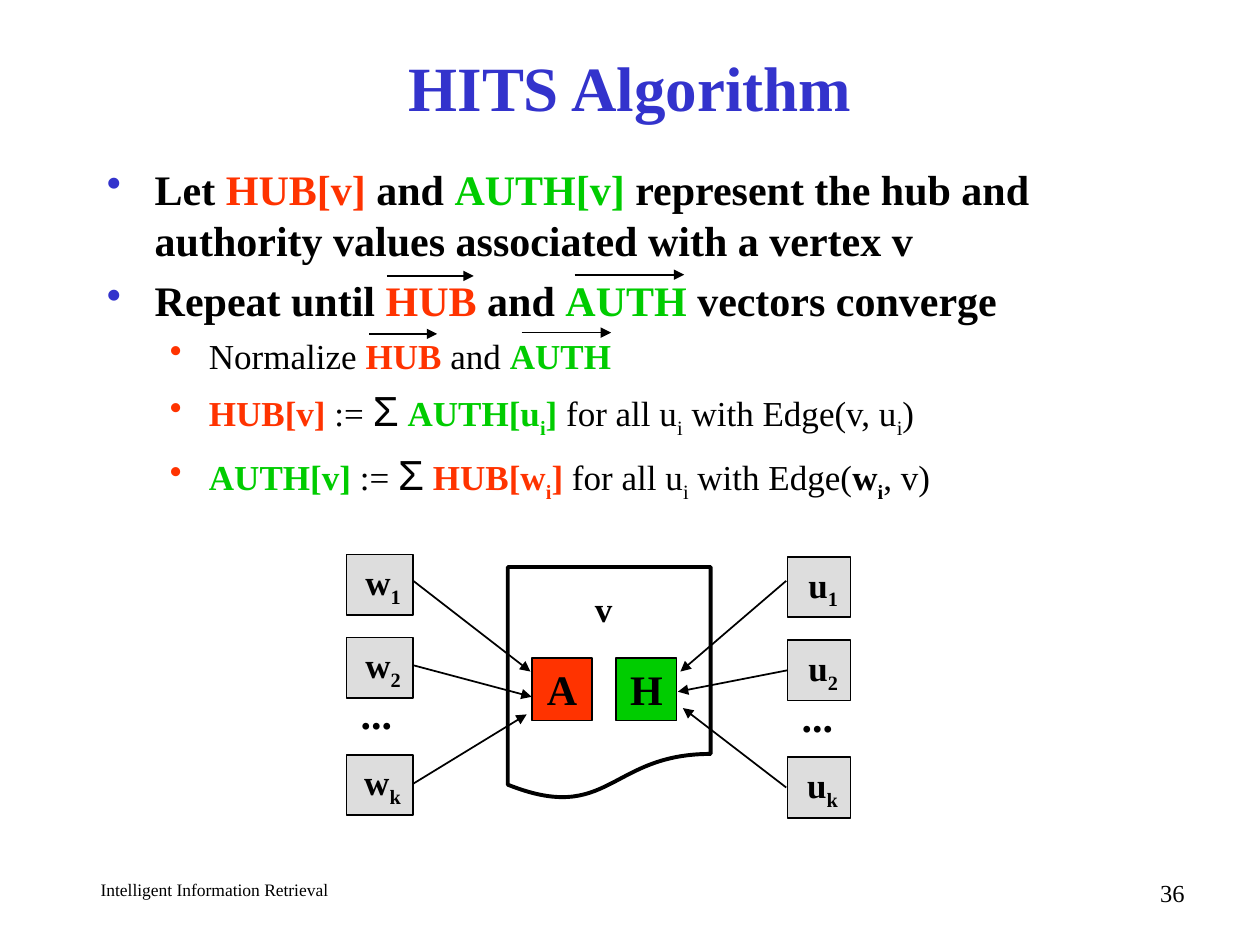
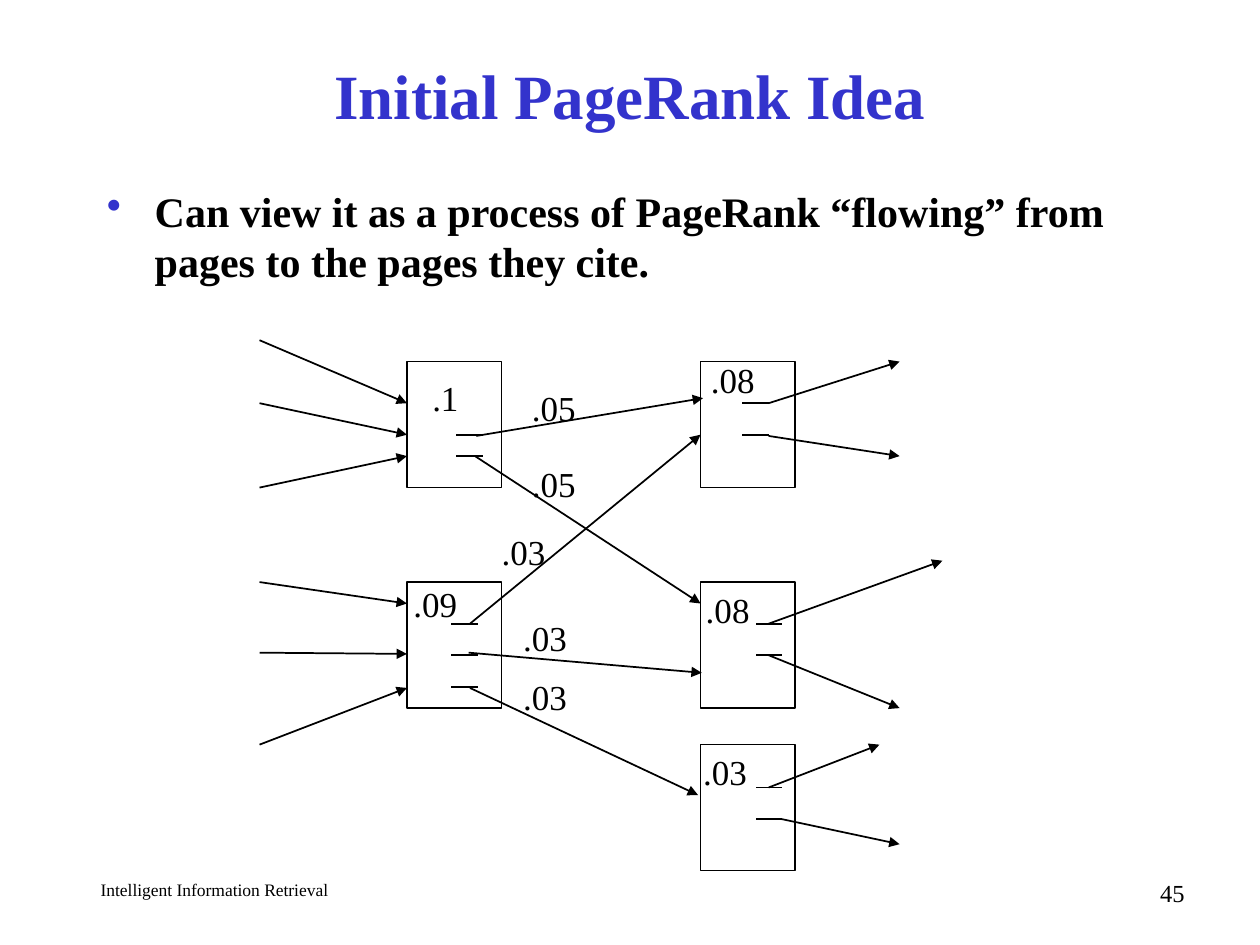
from lxml import etree
from pptx import Presentation
from pptx.dml.color import RGBColor
from pptx.enum.shapes import MSO_CONNECTOR, MSO_SHAPE
from pptx.enum.text import MSO_ANCHOR, MSO_AUTO_SIZE, PP_ALIGN
from pptx.oxml.ns import qn
from pptx.util import Inches, Pt

STRAIGHT = MSO_CONNECTOR.STRAIGHT
RECTANGLE = MSO_SHAPE.RECTANGLE
DOCUMENT = MSO_SHAPE.FLOWCHART_DOCUMENT
TOP, MIDDLE = MSO_ANCHOR.TOP, MSO_ANCHOR.MIDDLE
NO_AUTOFIT = MSO_AUTO_SIZE.NONE
LEFT, CENTER, RIGHT = PP_ALIGN.LEFT, PP_ALIGN.CENTER, PP_ALIGN.RIGHT

TITLE_ONLY = 5
FONT = "Times New Roman"
COLORS = {"text": "000000", "title": "3333CC", "hub": "FF3300", "auth": "00CC00", "node": "DDDDDD"}

# Per level: left margin, hanging indent, space before, text size, bullet colour
LEVELS = [(0.38, 0.38, 6, 24, "title"), (0.81, 0.31, 5, 20, "hub")]

# Span formats; each span is a text followed by one of these
PLAIN = {}
BOLD = {"bold": True}
HUB = {"bold": True, "color": "hub"}
AUTH = {"bold": True, "color": "auth"}
SUM = {"font": "Arial", "size": 24}


def rgb(name):
    return RGBColor.from_string(COLORS[name])


class Deck:
    def __init__(self):
        self.presentation = Presentation()
        self.presentation.slide_width = Inches(10)
        self.presentation.slide_height = Inches(7.5)
        self.page = None

    def add_page(self, title, number, title_height):
        layout = self.presentation.slide_layouts[TITLE_ONLY]
        self.page = self.presentation.slides.add_slide(layout)
        box = self.page.shapes.title
        box.left, box.top = Inches(0.75), Inches(0.33)
        box.width, box.height = Inches(8.5), Inches(title_height)
        self.fill_frame(box.text_frame, title, 36, CENTER, bold=True, color="title", anchor=MIDDLE)
        self.text("Intelligent Information Retrieval", 0.7, 6.93, 3.75, 0.25, 10, LEFT, wrap=True)
        self.text(str(number), 7.42, 6.92, 2.08, 0.25, 14, RIGHT, wrap=True)

    def spans(self, paragraph, text, size, bold=False, color="text", font=FONT):
        """Add text as runs; the character after each underscore is a subscript."""
        first, *rest = text.split("_")
        pieces = [(first, False)]
        for part in rest:
            pieces += [(part[0], True), (part[1:], False)]
        for piece, lowered in pieces:
            if not piece:
                continue
            span = paragraph.add_run()
            span.text = piece
            span.font.name, span.font.size, span.font.bold = font, Pt(size), bold
            span.font.color.rgb = rgb(color)
            if lowered:
                span.font._element.set("baseline", "-25000")

    def fill_frame(self, frame, text, size, align, bold=False, color="text", anchor=TOP, wrap=True):
        frame.word_wrap = wrap
        frame.auto_size = NO_AUTOFIT
        frame.vertical_anchor = anchor
        paragraph = frame.paragraphs[0]
        paragraph.alignment = align
        self.spans(paragraph, text, size, bold, color)

    def text(self, text, left, top, width, height, size=20, align=CENTER, bold=False, wrap=False):
        box = self.page.shapes.add_textbox(Inches(left), Inches(top), Inches(width), Inches(height))
        self.fill_frame(box.text_frame, text, size, align, bold, wrap=wrap)

    def bullets(self, top, height, items):
        """Add (level, spans) items as a bulleted list."""
        box = self.page.shapes.add_textbox(Inches(0.75), Inches(top), Inches(8.5), Inches(height))
        frame = box.text_frame
        frame.word_wrap = True
        for index, (level, spans) in enumerate(items):
            paragraph = frame.add_paragraph() if index else frame.paragraphs[0]
            margin, hanging, before, size, bullet_color = LEVELS[level]
            paragraph.level = level
            paragraph.space_before = Pt(before)
            properties = paragraph._p.get_or_add_pPr()
            properties.set("marL", str(Inches(margin)))
            properties.set("indent", str(-Inches(hanging)))
            bullet = etree.SubElement(properties, qn("a:buClr"))
            etree.SubElement(bullet, qn("a:srgbClr"), val=COLORS[bullet_color])
            etree.SubElement(properties, qn("a:buChar"), char="•")
            for text, style in spans:
                self.spans(paragraph, text, **{"size": size, **style})

    def shape(self, left, top, width, height, fill=None, kind=RECTANGLE, line_width=1):
        shape = self.page.shapes.add_shape(kind, Inches(left), Inches(top), Inches(width), Inches(height))
        shape.shadow.inherit = False
        shape.line.color.rgb = rgb("text")
        shape.line.width = Pt(line_width)
        if fill:
            shape.fill.solid()
            shape.fill.fore_color.rgb = rgb(fill)
        else:
            shape.fill.background()
        return shape

    def node(self, text, left, top, width, height, fill, size, align):
        shape = self.shape(left, top, width, height, fill)
        self.fill_frame(shape.text_frame, text, size, align, bold=True)

    def line(self, x1, y1, x2, y2, arrow=True):
        line = self.page.shapes.add_connector(STRAIGHT, Inches(x1), Inches(y1), Inches(x2), Inches(y2))
        line.line.color.rgb = rgb("text")
        line.line.width = Pt(1)
        if arrow:
            etree.SubElement(line.line._get_or_add_ln(), qn("a:tailEnd"), type="triangle")
        etree.SubElement(line._element.spPr, qn("a:effectLst"))


def build_hits(deck):
    deck.add_page("HITS Algorithm", 36, 0.71)
    deck.bullets(1.25, 5.5, [
        (0, [("Let ", BOLD), ("HUB[v]", HUB), (" and ", BOLD), ("AUTH[v]", AUTH),
             (" represent the hub and authority values associated with a vertex v", BOLD)]),
        (0, [("Repeat until ", BOLD), ("HUB", HUB), (" and ", BOLD), ("AUTH", AUTH),
             (" vectors converge", BOLD)]),
        (1, [("Normalize ", PLAIN), ("HUB", HUB), (" and ", PLAIN), ("AUTH", AUTH)]),
        (1, [("HUB[v]", HUB), (" := ", PLAIN), ("Σ", SUM), (" ", PLAIN), ("AUTH[u_i]", AUTH),
             (" for all u_i with Edge(v, u_i)", PLAIN)]),
        (1, [("AUTH[v]", AUTH), (" := ", PLAIN), ("Σ", SUM), (" ", PLAIN), ("HUB[w_i]", HUB),
             (" for all u_i with Edge(", PLAIN), ("w_i", BOLD), (", v)", PLAIN)]),
    ])
    # Vector arrows over the HUB and AUTH words
    for start, end, y in [(3.07, 3.76, 2.19), (4.56, 5.43, 2.18), (2.93, 3.47, 2.65), (4.14, 4.85, 2.64)]:
        deck.line(start, y, end, y)

    deck.shape(4.03, 4.5, 1.61, 1.85, kind=DOCUMENT, line_width=2.25)
    deck.text("v", 4.62, 4.61, 0.34, 0.44, bold=True)
    for letter, left, fill in [("A", 4.22, "hub"), ("H", 4.89, "auth")]:
        deck.node(letter, left, 5.22, 0.48, 0.5, fill, 24, CENTER)

    for name, left, top, width in [("w", 2.75, 4.4, 0.53), ("u", 6.25, 4.42, 0.5)]:
        for index, offset in [("1", 0), ("2", 0.66), ("k", 1.59)]:
            deck.node(f"{name}_{index}", left, top + offset, width, 0.48, "node", 20, RIGHT)
        deck.text("...", left + 0.01, top + 1.01, 0.45, 0.5, 24, RIGHT, bold=True)

    for ends in [(3.28, 4.61, 4.21, 5.33), (3.28, 5.28, 4.22, 5.53), (3.28, 6.22, 4.18, 5.67),
                 (6.24, 4.61, 5.4, 5.33), (6.25, 5.32, 5.38, 5.49), (6.24, 6.25, 5.42, 5.62)]:
        deck.line(*ends)


def build_pagerank(deck):
    deck.add_page("Initial PageRank Idea", 45, 0.83)
    deck.bullets(1.42, 5.33, [
        (0, [("Can view it as a process of PageRank “flowing” from pages to the pages they cite.", BOLD)]),
    ])
    left_column, right_column = 3.23, 5.56
    # Cited pages: left, top, left end of the link marks, their heights
    pages = [
        (left_column, 2.87, 3.62, [3.45, 3.62]),
        (left_column, 4.62, 3.58, [4.95, 5.2, 5.45]),
        (right_column, 2.87, 5.89, [3.2, 3.45]),
        (right_column, 4.62, 6, [4.95, 5.2]),
        (right_column, 5.91, 6, [6.25, 6.5]),
    ]
    for left, top, mark_left, marks in pages:
        deck.shape(left, top, 0.75, 1)
        for y in marks:
            deck.line(mark_left, y, mark_left + 0.21, y, arrow=False)

    for start, end in [(2.7, 3.2), (3.2, 3.45), (3.87, 3.62), (4.62, 4.79), (5.18, 5.19), (5.91, 5.46)]:
        deck.line(2.06, start, left_column, end)

    between = [(3.78, 3.46, 5.58, 3.16), (3.77, 3.62, 5.56, 4.79), (3.73, 4.95, 5.56, 3.45),
               (3.72, 5.18, 5.57, 5.34), (3.73, 5.46, 5.54, 6.31)]
    outgoing = [(6.1, 3.2, 7.14, 2.87), (6.1, 3.46, 7.14, 3.62), (6.1, 4.95, 7.48, 4.45),
                (6.1, 5.2, 7.14, 5.62), (6.1, 6.25, 6.98, 5.91), (6.2, 6.5, 7.14, 6.7)]
    for ends in between + outgoing:
        deck.line(*ends)

    page_ranks = [(".1", 3.26, 2.94), (".09", 3.18, 4.57), (".08", 5.54, 2.8),
                  (".08", 5.5, 4.62), (".03", 5.48, 5.91)]
    flows = [(".05", 4.12, 3.02), (".05", 4.12, 3.62), (".03", 3.88, 4.16),
             (".03", 4.05, 4.84), (".03", 4.05, 5.31)]
    for value, left, top in page_ranks + flows:
        deck.text(value, left, top, 0.55, 0.44)


def main():
    deck = Deck()
    build_hits(deck)
    build_pagerank(deck)
    deck.presentation.save("out.pptx")


if __name__ == "__main__":
    main()
